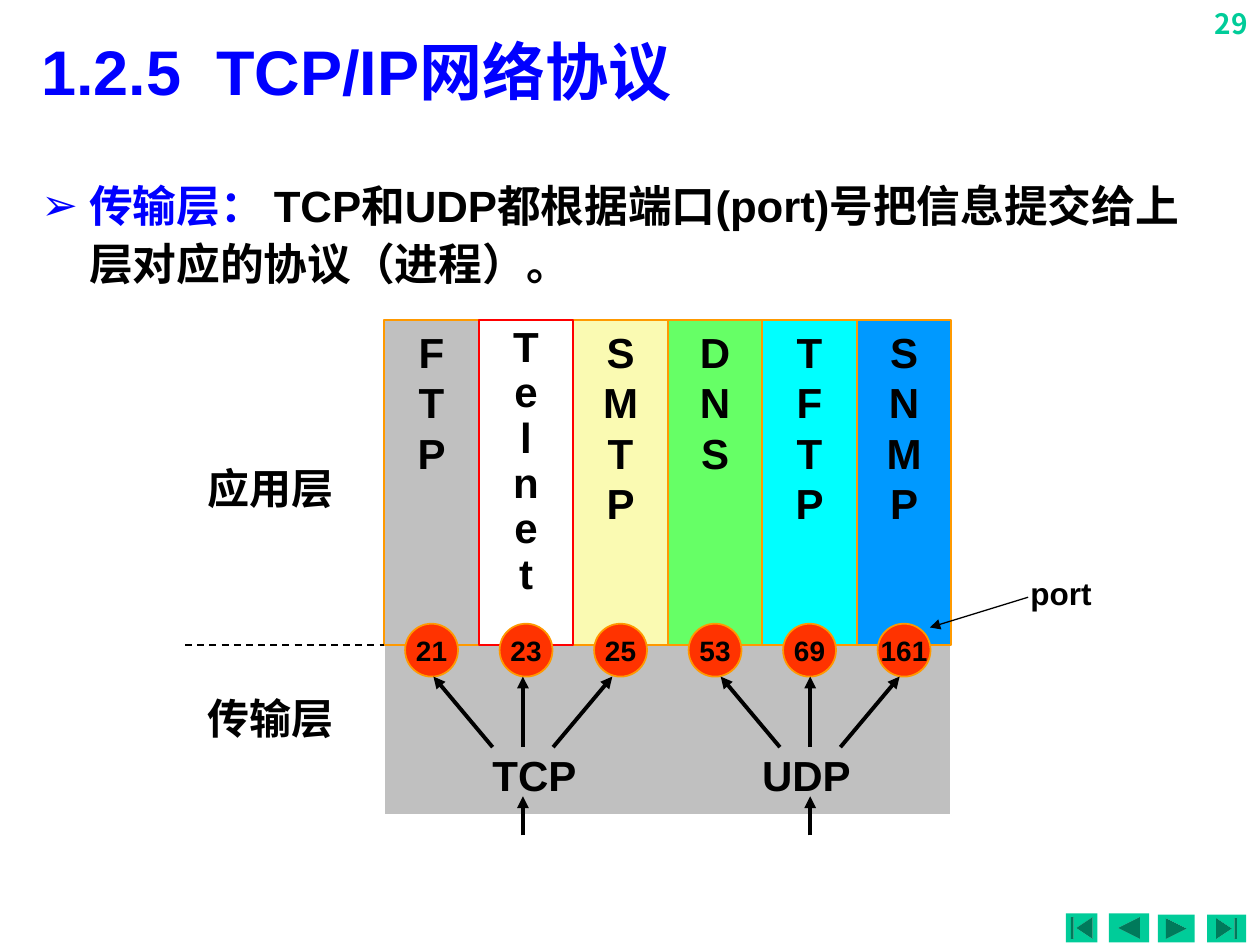
"""Build the slide on TCP and UDP ports between the transport and application layers."""
from dataclasses import dataclass
from typing import Any, NamedTuple

from lxml import etree
from pptx import Presentation
from pptx.dml.color import RGBColor
from pptx.enum.dml import MSO_LINE
from pptx.enum.shapes import MSO_CONNECTOR, MSO_SHAPE
from pptx.enum.text import MSO_ANCHOR, MSO_AUTO_SIZE, PP_ALIGN
from pptx.oxml.ns import qn
from pptx.util import Inches, Pt

RECT, OVAL = MSO_SHAPE.RECTANGLE, MSO_SHAPE.OVAL
FIRST, BACK = MSO_SHAPE.ACTION_BUTTON_BEGINNING, MSO_SHAPE.ACTION_BUTTON_BACK_OR_PREVIOUS
NEXT, LAST = MSO_SHAPE.ACTION_BUTTON_FORWARD_OR_NEXT, MSO_SHAPE.ACTION_BUTTON_END
STRAIGHT, DASH = MSO_CONNECTOR.STRAIGHT, MSO_LINE.DASH
TOP, MIDDLE = MSO_ANCHOR.TOP, MSO_ANCHOR.MIDDLE
LEFT, CENTER, RIGHT = PP_ALIGN.LEFT, PP_ALIGN.CENTER, PP_ALIGN.RIGHT
FIT, FIXED = MSO_AUTO_SIZE.SHAPE_TO_FIT_TEXT, MSO_AUTO_SIZE.NONE


@dataclass(frozen=True)
class Theme:
    """Colours, fonts and type sizes of the slide."""
    blue: str = "0000FF"
    black: str = "000000"
    white: str = "FFFFFF"
    green: str = "00CC99"
    grey: str = "C0C0C0"
    orange: str = "FF9900"
    red: str = "FF0000"
    port: str = "FF3300"
    latin: str = "Arial"
    cjk: str = "Noto Sans CJK KR"
    title: float = 36
    body: float = 25
    label: float = 24
    note: float = 18
    small: float = 16


T = Theme()


class Box(NamedTuple):
    """A place on the slide in inches."""
    left: float
    top: float
    width: float
    height: float


class Point(NamedTuple):
    """A line end in inches."""
    x: float
    y: float


class Column(NamedTuple):
    """An application protocol with its slot, port and look."""
    slot: int
    name: str
    port: str
    fill: str
    line: str = T.orange
    spacing: float = 1.0


class Label(NamedTuple):
    """A text box with its wording and format."""
    box: Box
    text: str
    size: float = T.label
    color: str = T.black
    font: str = T.latin
    align: Any = LEFT
    before: float = 15
    tab: float = 0
    anchor: Any = TOP
    fit: Any = FIT


class Button(NamedTuple):
    """A navigation button."""
    kind: Any
    box: Box


COLUMN_W, COLUMN_TOP, COLUMN_H, STACK_LEFT = 0.75, 2.54, 2.58, 3.05
BORDER = COLUMN_TOP + COLUMN_H
PORT_D, PORT_TOP = 0.42, 4.95
COLUMNS = [
    Column(0, "FTP", "21", T.grey),
    Column(2, "SMTP", "25", "FAFAB2"),
    Column(4, "TFTP", "69", "00FFFF"),
    Column(3, "DNS", "53", "66FF66"),
    Column(1, "Telnet", "23", T.white, T.red, 0.9),
    Column(5, "SNMP", "161", "0099FF"),
]
LABELS = [
    Label(Box(9.45, 0, 0.55, 0.42), "29", T.small, T.green, T.cjk, RIGHT, 10),
    Label(Box(0.23, 0.19, 9.52, 0.74), "1.2.5\tTCP/IP网络协议", T.title, T.blue,
          before=0, tab=1.39, anchor=MIDDLE, fit=FIXED),
    Label(Box(3.81, 5.9, 3.33, 0.5), "TCP\tUDP", tab=2.14),
    Label(Box(1.55, 3.62, 1.25, 0.5), "应用层"),
    Label(Box(1.55, 5.45, 1.25, 0.5), "传输层"),
    Label(Box(8.08, 4.51, 0.71, 0.4), "port", T.note, before=11.2),
]
BUTTONS = [
    Button(FIRST, Box(8.46, 7.25, 0.25, 0.23)),
    Button(BACK, Box(8.8, 7.25, 0.32, 0.23)),
    Button(NEXT, Box(9.19, 7.26, 0.29, 0.22)),
    Button(LAST, Box(9.58, 7.26, 0.31, 0.22)),
]


def apply(target: Any, values: dict[str, Any]) -> None:
    """Set each named attribute on the target."""
    for name, value in values.items():
        setattr(target, name, value)


def inches(values: tuple) -> list:
    """Turn plain numbers into lengths."""
    return [Inches(v) for v in values]


def add_run(p: Any, text: str, size: float, color: str = T.black, font: str = T.latin) -> None:
    """Add a bold run to a paragraph."""
    r = p.add_run()
    r.text = text
    apply(r.font, {"size": Pt(size), "bold": True, "name": font})
    r.font.color.rgb = RGBColor.from_string(color)
    etree.SubElement(r.font._element, qn("a:ea"), typeface=T.cjk)


def add_tab(p: Any, position: float) -> None:
    """Give a paragraph one left tab stop."""
    tabs = etree.SubElement(p._p.get_or_add_pPr(), qn("a:tabLst"))
    etree.SubElement(tabs, qn("a:tab"), pos=str(Inches(position)), algn="l")


def add_bullet(p: Any, char: str, color: str, indent: float) -> None:
    """Give a paragraph a coloured bullet and a hanging indent."""
    pPr = p._p.get_or_add_pPr()
    pPr.set("marL", str(Inches(indent)))
    pPr.set("indent", str(-Inches(indent)))
    etree.SubElement(etree.SubElement(pPr, qn("a:buClr")), qn("a:srgbClr"), val=color)
    etree.SubElement(pPr, qn("a:buFont"), typeface=T.latin)
    etree.SubElement(pPr, qn("a:buChar"), char=char)


def add_text(slide: Any, label: Label) -> None:
    """Draw a one-paragraph text box."""
    tf = slide.shapes.add_textbox(*inches(label.box)).text_frame
    apply(tf, {"word_wrap": True, "auto_size": label.fit, "vertical_anchor": label.anchor})
    p = tf.paragraphs[0]
    apply(p, {"alignment": label.align, "space_before": Pt(label.before)})
    if label.tab:
        add_tab(p, label.tab)
    add_run(p, label.text, label.size, label.color, label.font)


def add_body(slide: Any) -> None:
    """Draw the bulleted statement."""
    tf = slide.shapes.add_textbox(*inches(Box(0.23, 1.33, 9.57, 5.68))).text_frame
    tf.word_wrap = True
    p = tf.paragraphs[0]
    apply(p, {"line_spacing": 1.1, "space_before": Pt(6.2)})
    add_bullet(p, "➢", T.blue, 0.38)
    add_run(p, "传输层： ", T.body, T.blue)
    add_run(p, "TCP和UDP都根据端口(port)号把信息提交给上层对应的协议（进程）。", T.body)


def add_block(slide: Any, kind: Any, box: Box, fill: str, line: str = "", lines: Any = (),
              size: float = T.label, anchor: Any = TOP, spacing: float = 1.0) -> None:
    """Draw a filled shape with centred lines of text."""
    s = slide.shapes.add_shape(kind, *inches(box))
    s.shadow.inherit = False
    s.fill.solid()
    s.fill.fore_color.rgb = RGBColor.from_string(fill)
    if line:
        s.line.color.rgb = RGBColor.from_string(line)
        s.line.width = Pt(1)
    else:
        s.line.fill.background()
    tf = s.text_frame
    apply(tf, {"word_wrap": False, "vertical_anchor": anchor})
    for i, text in enumerate(lines):
        p = tf.add_paragraph() if i else tf.paragraphs[0]
        apply(p, {"alignment": CENTER, "line_spacing": spacing})
        add_run(p, text, size)


def add_line(slide: Any, start: Point, end: Point, width: float = 2.25, dashed: bool = False) -> None:
    """Draw a dashed line or an arrow."""
    s = slide.shapes.add_connector(STRAIGHT, *inches(start + end))
    s.line.color.rgb = RGBColor.from_string(T.black)
    s.line.width = Pt(width)
    spPr = s.element.spPr
    if dashed:
        s.line.dash_style = DASH
    else:
        etree.SubElement(spPr.find(qn("a:ln")), qn("a:tailEnd"), type="triangle")
    etree.SubElement(spPr, qn("a:effectLst"))


def main() -> None:
    """Build and save the slide."""
    prs = Presentation()
    apply(prs, {"slide_width": Inches(10), "slide_height": Inches(7.5)})
    slide = prs.slides.add_slide(prs.slide_layouts[6])
    for button in BUTTONS:
        add_block(slide, button.kind, button.box, T.green)
    add_body(slide)
    add_block(slide, RECT, Box(STACK_LEFT, BORDER, 6 * COLUMN_W, 1.35), T.grey, T.white)
    for c in COLUMNS:
        box = Box(STACK_LEFT + c.slot * COLUMN_W, COLUMN_TOP, COLUMN_W, COLUMN_H)
        add_block(slide, RECT, box, c.fill, c.line, c.name, spacing=c.spacing)
    for c in COLUMNS:
        left = STACK_LEFT + c.slot * COLUMN_W + (COLUMN_W - PORT_D) / 2
        add_block(slide, OVAL, Box(left, PORT_TOP, PORT_D, PORT_D), T.port, T.orange,
                  [c.port], T.small, MIDDLE)
    add_line(slide, Point(1.47, BORDER), Point(STACK_LEFT, BORDER), 1, True)
    for label in LABELS:
        add_text(slide, label)
    for x in (4.15, 6.43):
        for side in (-1, 0, 1):
            add_line(slide, Point(x + 0.24 * side, 5.93), Point(x + 0.71 * side, 5.37))
        add_line(slide, Point(x, 6.63), Point(x, 6.32))
    add_line(slide, Point(8.16, 4.74), Point(7.38, 4.98), 0.75)
    prs.save("out.pptx")


if __name__ == "__main__":
    main()
